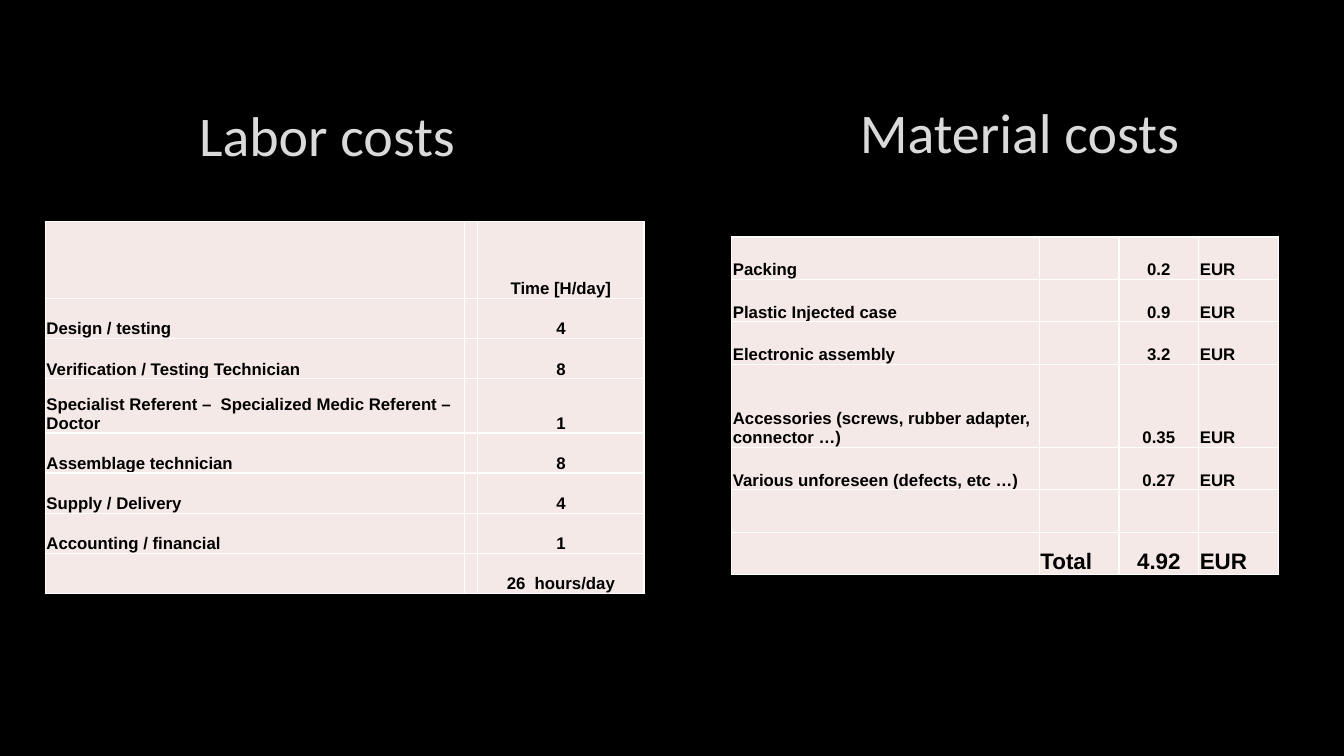
import pptx
import pptx.dml.color
import pptx.enum.text
import pptx.oxml
import pptx.oxml.ns
import pptx.util

Cm, Pt = pptx.util.Cm, pptx.util.Pt
ALIGN = pptx.enum.text.PP_ALIGN
ANCHOR = pptx.enum.text.MSO_ANCHOR

COLORS = {"background": "000000", "title": "DADADA", "cell": "F4E9E7",
          "text": "000000", "border": "FFFFFF"}

LABOR_ROWS = [
    ("", "", "Time [H/day]"),
    ("Design / testing", "", "4"),
    ("Verification / Testing Technician", "", "8"),
    ("Specialist Referent –  Specialized Medic Referent – Doctor", "", "1"),
    ("Assemblage technician", "", "8"),
    ("Supply / Delivery", "", "4"),
    ("Accounting / financial", "", "1"),
    ("", "", "26  hours/day"),
]
MATERIAL_ROWS = [
    ("Packing", "", "0.2", "EUR"),
    ("Plastic Injected case", "", "0.9", "EUR"),
    ("Electronic assembly", "", "3.2", "EUR"),
    ("Accessories (screws, rubber adapter, connector …)", "", "0.35", "EUR"),
    ("Various unforeseen (defects, etc …)", "", "0.27", "EUR"),
    ("", "", "", ""),
    ("", "Total", "4.92", "EUR"),
]
AMOUNT_COLUMN = 2


def rgb(name):
    return pptx.dml.color.RGBColor.from_string(COLORS[name])


class CostSlide:
    def __init__(self, slide):
        self.slide = slide
        self.title_font, self.table_font = "Calibri", "Arial"
        background = slide.background.fill
        background.solid()
        background.fore_color.rgb = rgb("background")

    def add_text(self, paragraph, text, font, size, color, bold=False):
        run = paragraph.add_run()
        run.text = text
        run.font.name, run.font.size, run.font.bold = font, Pt(size), bold
        run.font.color.rgb = rgb(color)

    def heading(self, text, left, top, width, height):
        frame = self.slide.shapes.add_textbox(
            Cm(left), Cm(top), Cm(width), Cm(height)).text_frame
        frame.word_wrap = True
        frame.vertical_anchor = ANCHOR.MIDDLE
        frame.paragraphs[0].alignment = ALIGN.CENTER
        self.add_text(frame.paragraphs[0], text, self.title_font, 40, "title")

    def border(self, cell):
        """Draw a thin line on all four sides of a cell."""
        properties = cell._tc.get_or_add_tcPr()
        for position, side in enumerate(("lnL", "lnR", "lnT", "lnB")):
            properties.insert(position, pptx.oxml.parse_xml(
                f'<a:{side} {pptx.oxml.ns.nsdecls("a")} w="{Pt(1)}"><a:solidFill>'
                f'<a:srgbClr val="{COLORS["border"]}"/></a:solidFill></a:{side}>'))

    def cost_cell(self, cell, text, size, alignment):
        cell.fill.solid()
        cell.fill.fore_color.rgb = rgb("cell")
        self.border(cell)
        cell.margin_left = cell.margin_right = cell.margin_top = Cm(0.03)
        cell.margin_bottom = 0
        cell.vertical_anchor = ANCHOR.BOTTOM
        if text:
            paragraph = cell.text_frame.paragraphs[0]
            paragraph.alignment = alignment
            self.add_text(paragraph, text, self.table_font, size, "text", bold=True)

    def cost_table(self, rows, left, top, widths, heights, total_size=12):
        table = self.slide.shapes.add_table(
            len(rows), len(widths), Cm(left), Cm(top),
            Cm(sum(widths)), Cm(sum(heights))).table
        table.first_row = table.horz_banding = False
        for column, width in zip(table.columns, widths):
            column.width = Cm(width)
        for r, (texts, height) in enumerate(zip(rows, heights)):
            table.rows[r].height = Cm(height)
            size = total_size if r == len(rows) - 1 else 12
            for c, text in enumerate(texts):
                alignment = ALIGN.CENTER if c == AMOUNT_COLUMN else ALIGN.LEFT
                self.cost_cell(table.cell(r, c), text, size, alignment)


def main():
    deck = pptx.Presentation()
    deck.slide_width, deck.slide_height = Cm(33.87), Cm(19.05)
    costs = CostSlide(deck.slides.add_slide(deck.slide_layouts[6]))
    costs.heading("Labor costs", 1.24, 1.63, 14, 3.5)
    costs.cost_table(LABOR_ROWS, 1.14, 5.59, [10.57, 0.33, 4.19],
                     [1.93] + [1.01] * 2 + [1.37] + [1.01] * 4)
    costs.cost_table(MATERIAL_ROWS, 18.44, 5.97, [7.75] + [2.01] * 3,
                     [1.07] * 3 + [2.09] + [1.07] * 3, total_size=16)
    costs.heading("Material costs", 17.78, 1.55, 15.82, 3.5)
    deck.save("out.pptx")


if __name__ == "__main__":
    main()
